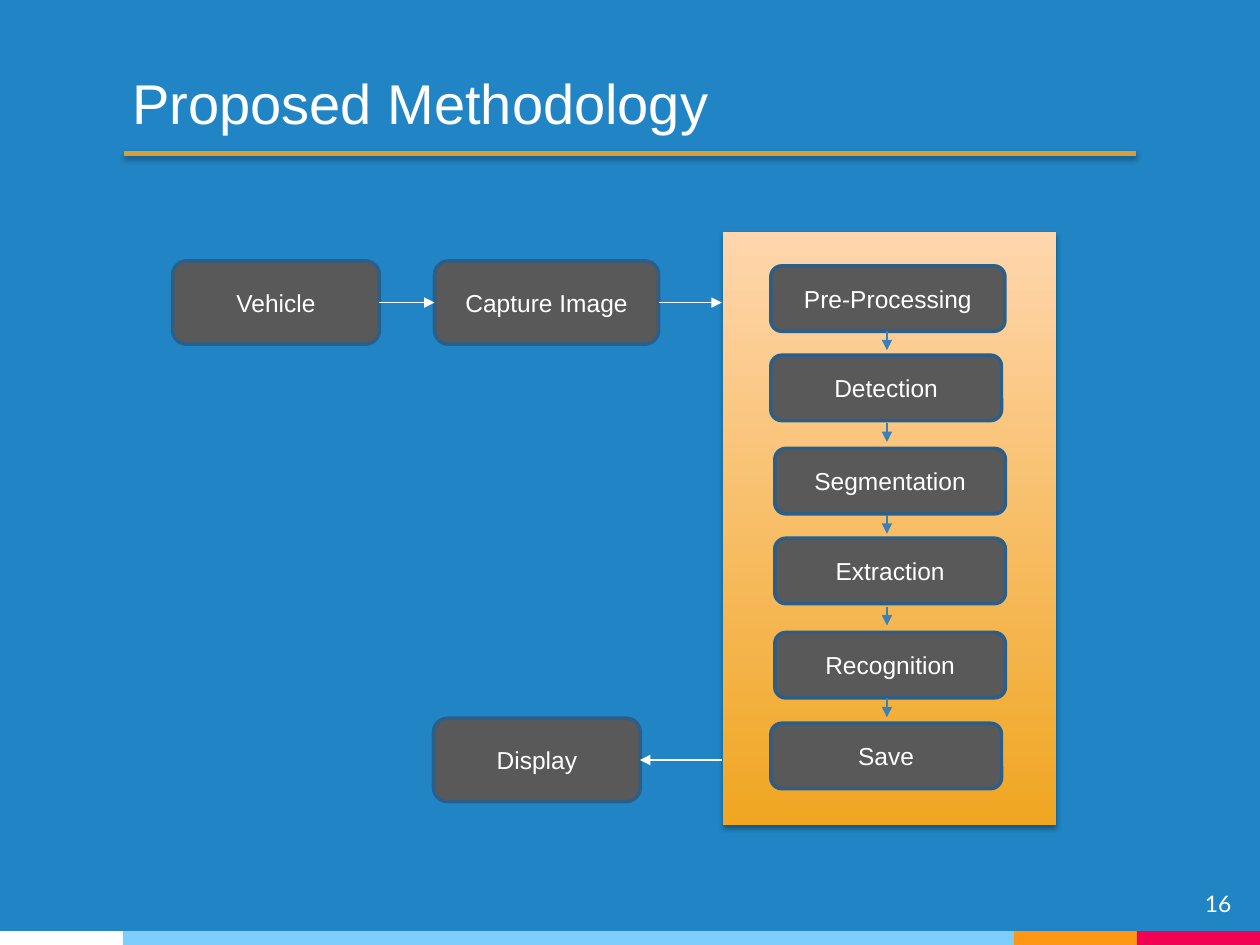
from dataclasses import dataclass

from lxml.etree import SubElement
from pptx import Presentation
from pptx.dml.color import RGBColor
from pptx.enum.shapes import MSO_CONNECTOR, MSO_SHAPE
from pptx.enum.text import MSO_ANCHOR, PP_ALIGN
from pptx.oxml.ns import qn
from pptx.util import Cm, Pt


@dataclass(frozen=True)
class Theme:
    background: str = "2185C5"
    white: str = "FFFFFF"
    box: str = "595959"
    border: str = "2B5F8A"
    stage_arrow: str = "3A81BA"
    rule: str = "D89F39"
    panel_bottom: str = "F0A621"
    panel_top: str = "FFD6AD"
    sky: str = "7ECEFD"
    orange: str = "FF9715"
    red: str = "F20253"
    font: str = "Arial"
    number_font: str = "Lato"
    title_size: int = 32
    box_size: int = 14
    number_size: int = 13


@dataclass(frozen=True)
class Box:
    """A labelled step; lengths in centimetres."""
    label: str
    left: float
    top: float
    width: float
    height: float


@dataclass(frozen=True)
class Arrow:
    """A straight arrow; points in centimetres."""
    x1: float
    y1: float
    x2: float
    y2: float
    color: str


T = Theme()
STAGE_HEIGHT = 1.32
STEP_HEIGHT = 1.68

STEPS = [
    Box("Vehicle", 3.48, 5.26, 4.17, STEP_HEIGHT),
    Box("Capture Image", 8.76, 5.26, 4.52, STEP_HEIGHT),
    Box("Display", 8.74, 14.48, 4.17, STEP_HEIGHT),
]
STAGES = [
    Box("Pre-Processing", 15.54, 5.36, 4.72, STAGE_HEIGHT),
    Box("Detection", 15.54, 7.16, 4.65, STAGE_HEIGHT),
    Box("Segmentation", 15.62, 9.04, 4.65, STAGE_HEIGHT),
    Box("Extraction", 15.62, 10.85, 4.65, STAGE_HEIGHT),
    Box("Recognition", 15.62, 12.75, 4.65, STAGE_HEIGHT),
    Box("Save", 15.54, 14.58, 4.65, STAGE_HEIGHT),
]
STEP_ARROWS = [
    Arrow(7.65, 6.1, 8.76, 6.1, T.white),
    Arrow(13.28, 6.1, 14.55, 6.1, T.white),
    Arrow(14.55, 15.32, 12.9, 15.32, T.white),
]
STAGE_ARROWS = [
    Arrow(17.88, y, 17.88, y + 0.38, T.stage_arrow)
    for y in (6.68 + 1.85 * i for i in range(len(STAGES) - 1))
]


def rgb(color: str) -> RGBColor:
    return RGBColor.from_string(color)


def add_run(p, text: str, size: int, font: str = T.font) -> None:
    r = p.add_run()
    r.text = text
    r.font.size = Pt(size)
    r.font.name = font
    r.font.color.rgb = rgb(T.white)


def set_effects(sp, shadow: bool) -> None:
    """Give a shape or connector a soft drop shadow, or none."""
    effects = SubElement(sp._element.spPr, qn("a:effectLst"))
    if shadow:
        outer = SubElement(effects, qn("a:outerShdw"), blurRad=str(Pt(3.1)),
                           dist=str(Pt(1.8)), dir="5400000", rotWithShape="0")
        color = SubElement(outer, qn("a:srgbClr"), val="000000")
        SubElement(color, qn("a:alpha"), val="35000")


def add_bar(s, left: float, width: float, color: str) -> None:
    sp = s.shapes.add_shape(MSO_SHAPE.RECTANGLE, Cm(left), Cm(18.77), Cm(width), Cm(0.28))
    sp.shadow.inherit = False
    sp.fill.solid()
    sp.fill.fore_color.rgb = rgb(color)
    sp.line.fill.background()


def add_box(s, box: Box) -> None:
    sp = s.shapes.add_shape(MSO_SHAPE.ROUNDED_RECTANGLE, Cm(box.left), Cm(box.top),
                            Cm(box.width), Cm(box.height))
    sp.shadow.inherit = False
    sp.fill.solid()
    sp.fill.fore_color.rgb = rgb(T.box)
    sp.line.color.rgb = rgb(T.border)
    sp.line.width = Pt(2)
    tf = sp.text_frame
    tf.vertical_anchor = MSO_ANCHOR.MIDDLE
    p = tf.paragraphs[0]
    p.alignment = PP_ALIGN.CENTER
    add_run(p, box.label, T.box_size)


def add_line(s, x1: float, y1: float, x2: float, y2: float, color: str, width: float):
    line = s.shapes.add_connector(MSO_CONNECTOR.STRAIGHT, Cm(x1), Cm(y1), Cm(x2), Cm(y2))
    line.line.color.rgb = rgb(color)
    line.line.width = Pt(width)
    return line


def add_arrow(s, arrow: Arrow) -> None:
    line = add_line(s, arrow.x1, arrow.y1, arrow.x2, arrow.y2, arrow.color, 0.75)
    SubElement(line.line._get_or_add_ln(), qn("a:tailEnd"), type="triangle")
    set_effects(line, shadow=False)


def add_panel(s) -> None:
    sp = s.shapes.add_shape(MSO_SHAPE.RECTANGLE, Cm(14.58), Cm(4.67), Cm(6.71), Cm(11.97))
    sp.fill.gradient()
    sp.fill.gradient_angle = 90
    for stop, color in zip(sp.fill.gradient_stops, (T.panel_bottom, T.panel_top)):
        stop.color.rgb = rgb(color)
    sp.line.fill.background()
    set_effects(sp, shadow=True)


def add_title(s) -> None:
    tf = s.shapes.add_textbox(Cm(2.11), Cm(0.69), Cm(15.75), Cm(2.24)).text_frame
    tf.word_wrap = True
    tf.margin_left, tf.margin_top = Cm(0.56), Cm(0.69)
    add_run(tf.paragraphs[0], "Proposed Methodology", T.title_size)
    rule = add_line(s, 2.49, 3.1, 22.91, 3.1, T.rule, 3)
    set_effects(rule, shadow=True)


def add_number(s) -> None:
    tf = s.shapes.add_textbox(Cm(23.55), Cm(17.68), Cm(1.52), Cm(1.17)).text_frame
    tf.word_wrap = True
    tf.margin_left = tf.margin_top = tf.margin_right = tf.margin_bottom = Cm(0.25)
    p = tf.paragraphs[0]
    p.alignment = PP_ALIGN.RIGHT
    add_run(p, "16", T.number_size, T.number_font)


def main() -> None:
    prs = Presentation()
    prs.slide_width, prs.slide_height = Cm(25.4), Cm(19.05)
    s = prs.slides.add_slide(prs.slide_layouts[6])
    s.background.fill.solid()
    s.background.fill.fore_color.rgb = rgb(T.background)

    # Footer: colour bars and slide number
    left = 0.0
    for width, color in ((2.48, T.white), (17.96, T.sky), (2.48, T.orange), (2.48, T.red)):
        add_bar(s, left, width, color)
        left += width
    add_number(s)

    # Flow chart
    add_panel(s)
    for box in STEPS + STAGES:
        add_box(s, box)
    for arrow in STEP_ARROWS + STAGE_ARROWS:
        add_arrow(s, arrow)

    # Title and rule
    add_title(s)

    prs.save("out.pptx")


if __name__ == "__main__":
    main()
